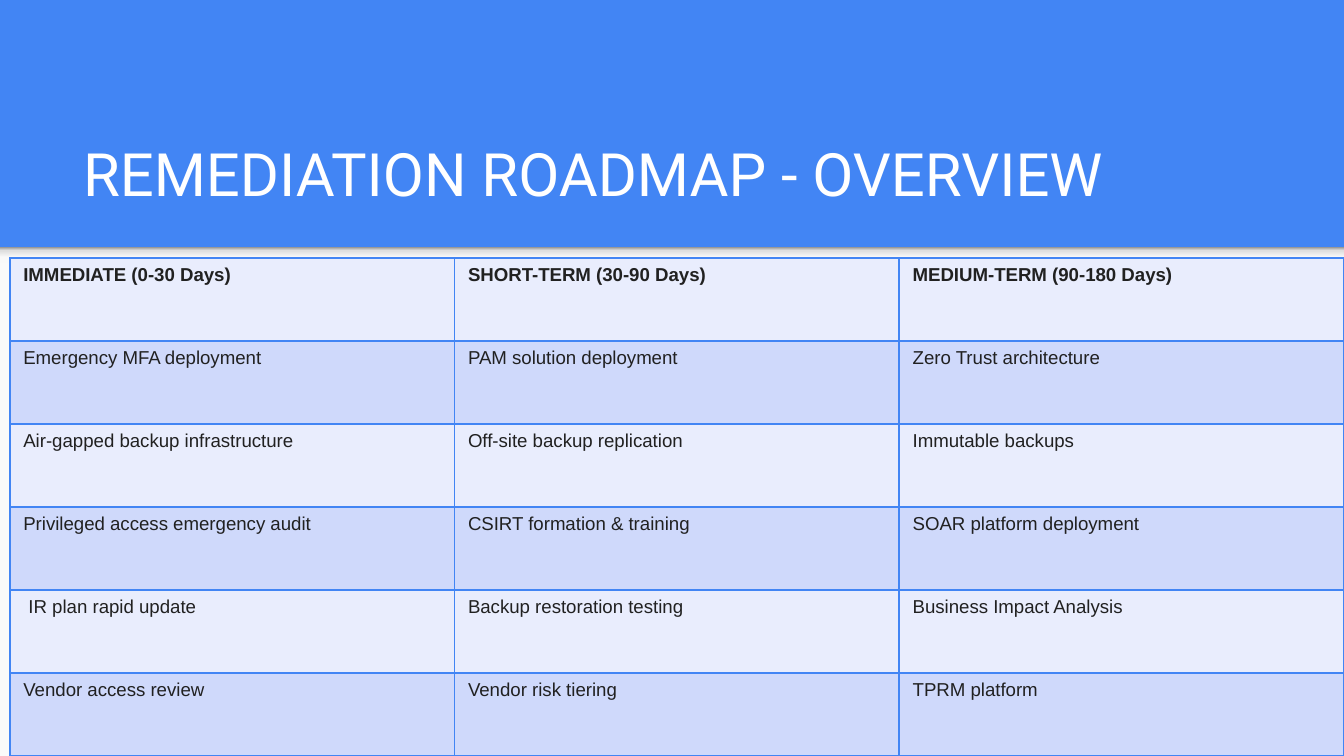
from dataclasses import dataclass

import lxml.etree
import pptx
import pptx.dml.color
import pptx.enum.dml
import pptx.enum.shapes
import pptx.enum.text
import pptx.oxml.ns
import pptx.util

Pt = pptx.util.Pt
qn = pptx.oxml.ns.qn


@dataclass(frozen=True)
class Theme:
    banner: str = "4285F4"
    page: str = "FAFAFA"
    title: str = "FFFFFF"
    body: str = "212121"
    bands: tuple = ("E9EDFD", "CFD9FB")
    shade: tuple = ((0, "F9F9F9"), (36, "F9F9F9"), (80, "DEDEDE"), (100, "999999"))
    title_font: str = "Roboto"
    body_font: str = "Arial"
    title_size: float = 32
    body_size: float = 10
    border_width: float = 1


@dataclass(frozen=True)
class Box:
    left: float
    top: float
    width: float
    height: float

    def lengths(self) -> tuple:
        return Pt(self.left), Pt(self.top), Pt(self.width), Pt(self.height)


@dataclass(frozen=True)
class Phase:
    heading: str
    actions: tuple


THEME = Theme()
SLIDE = Box(0, 0, 720, 405)
PAGE = Box(0, 132.5, 720, 272.5)
SHADE = Box(0, 132.5, 720, 8.6)
TITLE = Box(37.4, 58.3, 647.3, 60.5)
ROADMAP = Box(5.3, 138.3, 714.7, 266.7)

PHASES = (
    Phase("IMMEDIATE (0-30 Days)", (
        "Emergency MFA deployment", "Air-gapped backup infrastructure",
        "Privileged access emergency audit", " IR plan rapid update",
        "Vendor access review")),
    Phase("SHORT-TERM (30-90 Days)", (
        "PAM solution deployment", "Off-site backup replication",
        "CSIRT formation & training", "Backup restoration testing",
        "Vendor risk tiering")),
    Phase("MEDIUM-TERM (90-180 Days)", (
        "Zero Trust architecture", "Immutable backups",
        "SOAR platform deployment", "Business Impact Analysis",
        "TPRM platform")),
)


def rgb(value: str) -> pptx.dml.color.RGBColor:
    return pptx.dml.color.RGBColor.from_string(value)


def style_text(paragraph, font: str, size: float, color: str, bold: bool = False) -> None:
    for run in paragraph.runs:
        run.font.name = font
        run.font.size = Pt(size)
        run.font.bold = bold
        run.font.color.rgb = rgb(color)


def add_panel(slide, box: Box):
    panel = slide.shapes.add_shape(
        pptx.enum.shapes.MSO_SHAPE.RECTANGLE, *box.lengths())
    panel.shadow.inherit = False
    panel.line.fill.background()
    return panel


def add_shade(slide, box: Box) -> None:
    shade = add_panel(slide, box)
    shade.fill.gradient()
    shade.fill.gradient_angle = 90
    stops = shade.fill._fill._gradFill.find(qn("a:gsLst"))
    for stop in list(stops):
        stops.remove(stop)
    for percent, color in THEME.shade:
        stop = lxml.etree.SubElement(stops, qn("a:gs"), pos=str(percent * 1000))
        lxml.etree.SubElement(stop, qn("a:srgbClr"), val=color)


def add_title(slide, box: Box, wording: str) -> None:
    frame = slide.shapes.add_textbox(*box.lengths()).text_frame
    frame.word_wrap = True
    frame.vertical_anchor = pptx.enum.text.MSO_ANCHOR.BOTTOM
    frame.margin_left = frame.margin_right = Pt(7.2)
    frame.margin_top = frame.margin_bottom = Pt(7.2)
    frame.text = wording
    style_text(frame.paragraphs[0], THEME.title_font, THEME.title_size, THEME.title)


def set_borders(cell) -> None:
    properties = cell._tc.get_or_add_tcPr()
    for index, side in enumerate(("a:lnL", "a:lnR", "a:lnT", "a:lnB")):
        line = lxml.etree.Element(qn(side), w=str(Pt(THEME.border_width)))
        fill = lxml.etree.SubElement(line, qn("a:solidFill"))
        lxml.etree.SubElement(fill, qn("a:srgbClr"), val=THEME.banner)
        properties.insert(index, line)


def fill_cell(cell, wording: str, band: str, bold: bool) -> None:
    cell.text_frame.text = wording
    style_text(cell.text_frame.paragraphs[0], THEME.body_font,
               THEME.body_size, THEME.body, bold)
    cell.fill.solid()
    cell.fill.fore_color.rgb = rgb(band)
    set_borders(cell)


def add_roadmap(slide, box: Box, phases: tuple) -> None:
    row_count = 1 + len(phases[0].actions)
    roadmap = slide.shapes.add_table(row_count, len(phases), *box.lengths()).table
    for row in roadmap.rows:
        row.height = Pt(box.height / row_count)
    for column, phase in enumerate(phases):
        roadmap.columns[column].width = Pt(box.width / len(phases))
        for row, wording in enumerate((phase.heading, *phase.actions)):
            fill_cell(roadmap.cell(row, column), wording,
                      THEME.bands[row % 2], bold=row == 0)


def main() -> None:
    deck = pptx.Presentation()
    deck.slide_width, deck.slide_height = Pt(SLIDE.width), Pt(SLIDE.height)
    slide = deck.slides.add_slide(deck.slide_layouts[6])

    # Banner colour behind everything, light page below it
    slide.background.fill.solid()
    slide.background.fill.fore_color.rgb = rgb(THEME.banner)
    page = add_panel(slide, PAGE)
    page.fill.solid()
    page.fill.fore_color.rgb = rgb(THEME.page)
    add_shade(slide, SHADE)

    # Title and roadmap
    add_title(slide, TITLE, "REMEDIATION ROADMAP - OVERVIEW")
    add_roadmap(slide, ROADMAP, PHASES)

    deck.save("out.pptx")


if __name__ == "__main__":
    main()
